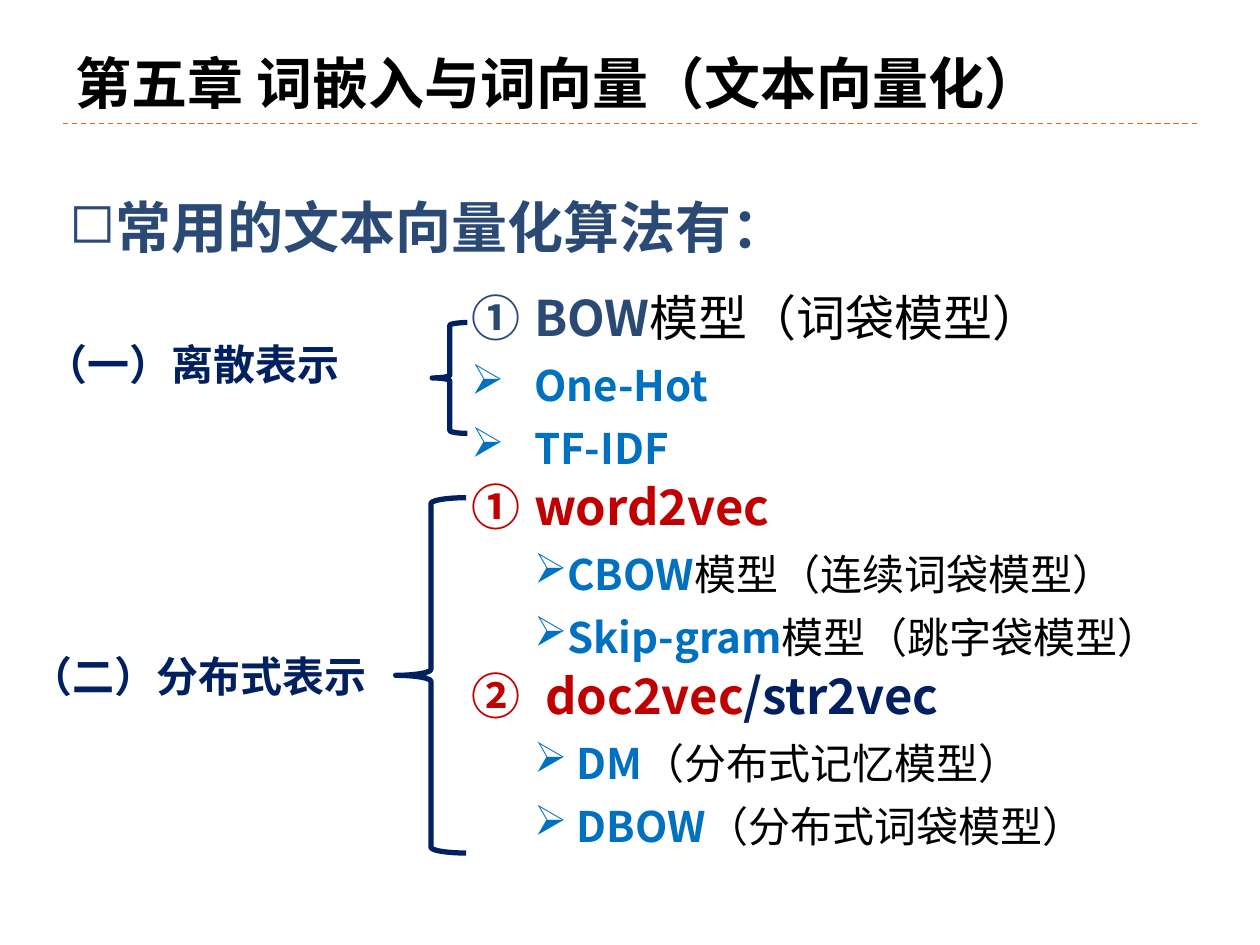
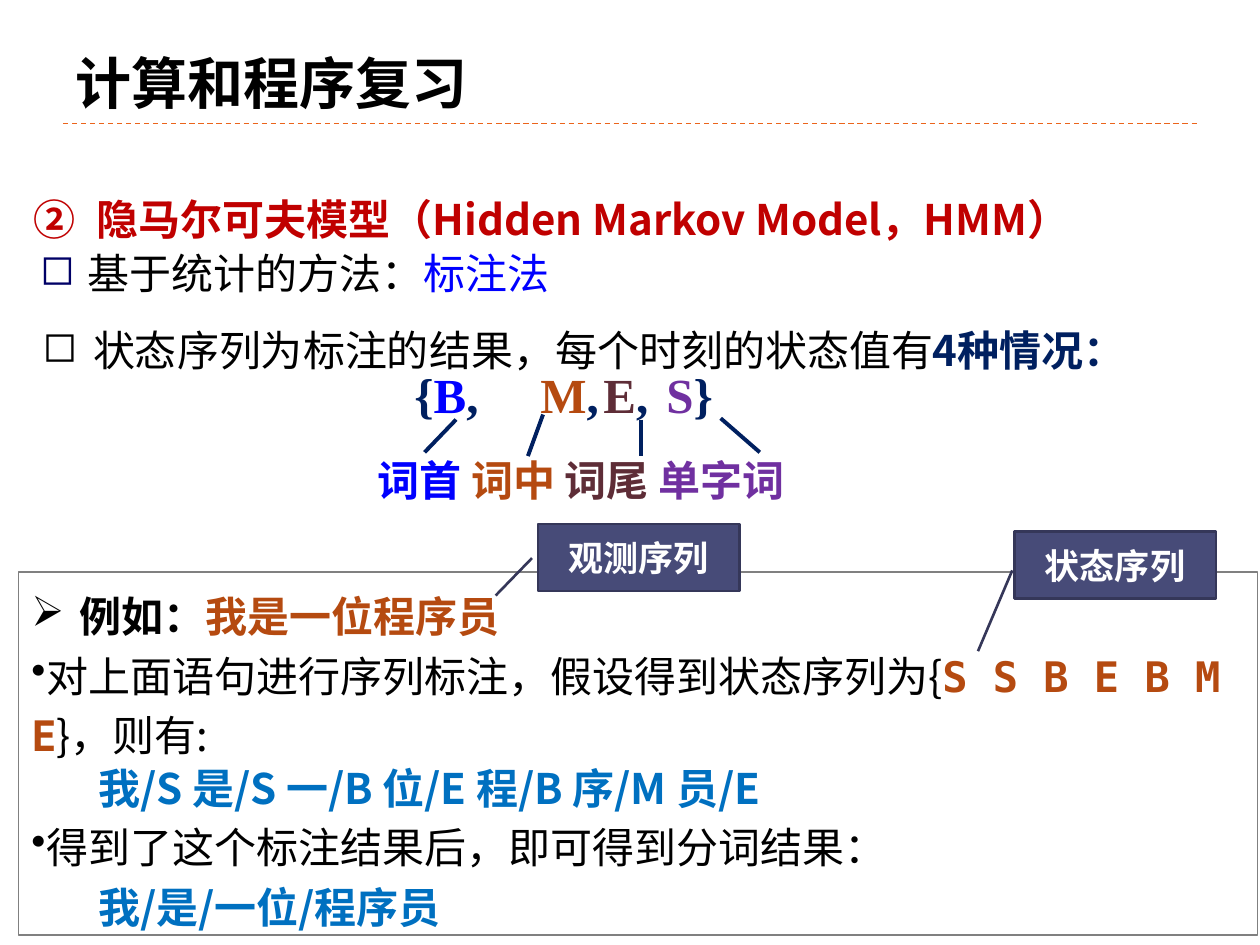
from dataclasses import dataclass
from typing import Any, NamedTuple, Optional

from lxml import etree
from pptx import Presentation
from pptx.dml.color import RGBColor
from pptx.enum.dml import MSO_LINE
from pptx.enum.shapes import MSO_CONNECTOR, MSO_SHAPE
from pptx.enum.text import MSO_ANCHOR, PP_ALIGN
from pptx.oxml.ns import qn
from pptx.util import Inches, Pt

STRAIGHT = MSO_CONNECTOR.STRAIGHT
BRACE, RECT, CALLOUT = MSO_SHAPE.LEFT_BRACE, MSO_SHAPE.RECTANGLE, MSO_SHAPE.LINE_CALLOUT_1
TOP, MIDDLE, BOTTOM = MSO_ANCHOR.TOP, MSO_ANCHOR.MIDDLE, MSO_ANCHOR.BOTTOM
LEFT, CENTER = PP_ALIGN.LEFT, PP_ALIGN.CENTER
DASH = MSO_LINE.DASH

BLACK = RGBColor(0x00, 0x00, 0x00)
WHITE = RGBColor(0xFF, 0xFF, 0xFF)
ORANGE = RGBColor(0xEB, 0x64, 0x1B)
STEEL = RGBColor(0x2A, 0x4A, 0x75)
NAVY = RGBColor(0x00, 0x20, 0x60)
SKY = RGBColor(0x00, 0x70, 0xC0)
RED = RGBColor(0xC0, 0x00, 0x00)
BLUE = RGBColor(0x00, 0x00, 0xFF)
RUST = RGBColor(0xB5, 0x4A, 0x10)
WINE = RGBColor(0x5E, 0x2D, 0x37)
PURPLE = RGBColor(0x70, 0x30, 0xA0)
GREY = RGBColor(0x80, 0x80, 0x80)
SLATE = RGBColor(0x47, 0x4B, 0x78)
EDGE = RGBColor(0x35, 0x37, 0x59)
INDIGO = RGBColor(0x00, 0x00, 0x66)

SANS, SERIF, MONO = "Noto Sans CJK SC", "Times New Roman", "DejaVu Sans Mono"
COLS, ROWS = 100, 75
CELL = Inches(0.1)
SQUARE, ARROW, DOT, CIRCLED = "◻", "➢", "•", "circleNumDbPlain"


class Area(NamedTuple):
    """Left, top, width and height in grid cells."""
    left: float
    top: float
    width: float
    height: float


class Run(NamedTuple):
    text: str
    color: RGBColor = BLACK
    bold: bool = False
    size: int = 24
    face: str = SANS


@dataclass
class Para:
    """One paragraph; left, hang and tabs are in grid cells."""
    runs: list[Run]
    mark: str = ""
    left: float = 0
    hang: float = 0
    pitch: Any = 1.0
    level: int = 0
    start: int = 1
    tint: Optional[RGBColor] = None
    tabs: tuple[float, ...] = ()


def cells(count: float) -> int:
    return round(count * CELL)


def assign(target: Any, values: dict[str, Any]) -> None:
    for name, value in values.items():
        setattr(target, name, value)


def child(parent: Any, tag: str, **attrs: Any) -> Any:
    return etree.SubElement(parent, qn(tag), {k: str(v) for k, v in attrs.items()})


def add_marks(props: Any, para: Para) -> None:
    """Set indents, bullet and tab stops."""
    props.set("marL", str(cells(para.left)))
    props.set("indent", str(-cells(para.hang)))
    if para.tint is not None:
        child(child(props, "a:buClr"), "a:srgbClr", val=para.tint)
    if para.mark == CIRCLED:
        first = {"startAt": para.start} if para.start > 1 else {}
        child(props, "a:buAutoNum", type=CIRCLED, **first)
    elif para.mark:
        child(props, "a:buChar", char=para.mark)
    if para.tabs:
        stops = child(props, "a:tabLst")
        for stop in para.tabs:
            child(stops, "a:tab", pos=cells(stop), algn="l")


def write(shape: Any, paras: list[Para], anchor: Any = TOP, align: Any = LEFT) -> None:
    frame = shape.text_frame
    assign(frame, {"word_wrap": True, "vertical_anchor": anchor})
    for i, para in enumerate(paras):
        line = frame.add_paragraph() if i else frame.paragraphs[0]
        add_marks(line._p.get_or_add_pPr(), para)
        assign(line, {"alignment": align, "level": para.level, "line_spacing": para.pitch})
        for item in para.runs:
            run = line.add_run()
            run.text = item.text
            assign(run.font, {"size": Pt(item.size), "bold": item.bold, "name": item.face})
            run.font.color.rgb = item.color
            east = item.face if item.face != SERIF else SANS
            child(run._r.get_or_add_rPr(), "a:ea", typeface=east)


def add_text(slide: Any, area: Area, paras: list[Para], anchor: Any = TOP) -> None:
    write(slide.shapes.add_textbox(*map(cells, area)), paras, anchor)


def add_line(slide: Any, ends: tuple[float, ...], color: RGBColor, width: float,
             dash: Any = None) -> None:
    line = slide.shapes.add_connector(STRAIGHT, *map(cells, ends))
    line.line.color.rgb = color
    assign(line.line, {"width": Pt(width), "dash_style": dash})
    child(line._element.spPr, "a:effectLst")


def add_form(slide: Any, kind: Any, area: Area, edge: RGBColor, width: float,
             fill: Optional[RGBColor] = None) -> Any:
    form = slide.shapes.add_shape(kind, *map(cells, area))
    form.shadow.inherit = False
    if fill is None:
        form.fill.background()
    else:
        form.fill.solid()
        form.fill.fore_color.rgb = fill
    form.line.color.rgb = edge
    form.line.width = Pt(width)
    return form


def add_page(deck: Any, title: str) -> Any:
    """Add a blank slide with the shared title and dashed rule."""
    slide = deck.slides.add_slide(deck.slide_layouts[6])
    add_line(slide, (5, 9.8, COLS - 5, 9.8), ORANGE, 0.75, DASH)
    add_text(slide, Area(5, 1.7, 90, 8), [Para([Run(title, BLACK, True, 32)])], BOTTOM)
    return slide


def topic(*runs: Run, mark: str = CIRCLED) -> Para:
    return Para(list(runs), mark, 10, 5, Pt(36), 1)


def model(name: str, note: str) -> Para:
    return Para([Run(name, SKY, True), Run(note)], ARROW, 12.5, 2.5, Pt(36), 2)


def build_methods(deck: Any) -> None:
    slide = add_page(deck, "第五章 词嵌入与词向量（文本向量化）")
    add_text(slide, Area(4.5, 12.1, 92.4, 10), [
        Para([Run("常用的文本向量化算法有：", STEEL, True, 32)], SQUARE, 2.5, 2.5, 1.5)])
    for area in (Area(34.3, 25.6, 2.8, 8.8), Area(31.4, 39.5, 5.6, 28.2)):
        add_form(slide, BRACE, area, NAVY, 3)
    for label, area in (("（一）离散表示", Area(2.6, 26.4, 26, 5)),
                        ("（二）分布式表示", Area(1.4, 51.1, 32.8, 9.1))):
        add_text(slide, area, [Para([Run(label, NAVY, True)])])
    add_text(slide, Area(31.4, 22, 68.6, 50.2), [
        topic(Run("BOW", STEEL, True, 28), Run("模型（词袋模型）", size=28)),
        *(topic(Run(name, SKY, True), mark=ARROW) for name in ("One-Hot", "TF-IDF")),
        topic(Run("word2vec", RED, True, 28)),
        model("CBOW", "模型（连续词袋模型）"),
        model("Skip-gram", "模型（跳字袋模型）"),
        topic(Run(" doc2vec", RED, True, 28), Run("/str2vec", NAVY, True, 28)),
        model(" DM", "（分布式记忆模型）"),
        model(" DBOW", "（分布式词袋模型）"),
    ])


def add_states(slide: Any) -> None:
    """Draw the four state letters, each tied to its meaning."""
    states = (("B", "词首 ", BLUE), ("M", "词中 ", RUST),
              ("E", "词尾 ", WINE), ("S", "单字词", PURPLE))
    signs = [Run("{", NAVY, True, 28, SERIF)]
    for letter, _, color in states:
        tail = "}" if letter == "S" else ",\t"
        signs += [Run(letter, color, True, 28, SERIF), Run(tail, NAVY, True, 28, SERIF)]
    add_text(slide, Area(31.9, 28.4, 33.5, 5.7), [Para(signs, tabs=(8, 16.5, 23))])
    names = [Run(name, color, True) for _, name, color in states]
    add_text(slide, Area(29, 35.1, 37.6, 5.5), [Para(names, pitch=Pt(32))])
    for ends in ((36.2, 33.3, 33.7, 35.9), (43.1, 32.9, 41.9, 36.2),
                 (50.9, 33.3, 50.9, 36.2), (57.2, 33.2, 60.3, 35.9)):
        add_line(slide, ends, NAVY, 2.25)


def add_example(slide: Any) -> None:
    frame = add_form(slide, RECT, Area(1.5, 45.4, 98.3, 28.8), GREY, 0.75)
    write(frame, [
        Para([Run("例如：", bold=True), Run("我是一位程序员", RUST, True)],
             ARROW, 3.8, 3.8, Pt(36)),
        Para([Run("对上面语句进行序列标注，假设得到状态序列为{"),
              Run("S S B E B M E", RUST, True, face=MONO), Run("}，则有:")],
             DOT, pitch=Pt(34)),
        Para([Run("我/S 是/S 一/B 位/E 程/B 序/M 员/E", SKY, True)], left=5.3, pitch=Pt(30)),
        Para([Run("得到了这个标注结果后，即可得到分词结果：")], DOT, pitch=Pt(34)),
        Para([Run("我/是/一位/程序员", SKY, True)], left=5.3, pitch=Pt(34)),
    ])
    for label, left, top, bends in (("观测序列", 42.7, 41.6, (0.51, -0.03, 1.07, -0.21)),
                                    ("状态序列", 80.5, 42.2, (0.58, -0.01, 1.79, -0.18))):
        note = add_form(slide, CALLOUT, Area(left, top, 16, 5.3), EDGE, 1.5, SLATE)
        for i, bend in enumerate(bends):
            note.adjustments[i] = bend
        write(note, [Para([Run(label, WHITE, True, 20, SERIF)])], MIDDLE, CENTER)


def build_review(deck: Any) -> None:
    slide = add_page(deck, "计算和程序复习")
    add_text(slide, Area(1.7, 12.9, 96.5, 7.1), [
        Para([Run("隐马尔可夫模型（Hidden Markov Model，HMM）", RED, True)],
             CIRCLED, 5, 5, 1.5, start=2)])
    add_text(slide, Area(2.4, 24.8, 96.7, 13.8), [
        Para([Run("状态序列为标注的结果，每个时刻的状态值有"), Run("4种情况：", NAVY, True)],
             SQUARE, 4, 4, Pt(32))])
    add_states(slide)
    add_example(slide)
    add_text(slide, Area(2.2, 19.7, 96.7, 3.9), [
        Para([Run("基于统计的方法："), Run("标注法", BLUE)],
             SQUARE, 3.8, 3.8, tint=INDIGO)], MIDDLE)


def main() -> None:
    deck = Presentation()
    assign(deck, {"slide_width": COLS * CELL, "slide_height": ROWS * CELL})
    build_methods(deck)
    build_review(deck)
    deck.save("out.pptx")


if __name__ == "__main__":
    main()
